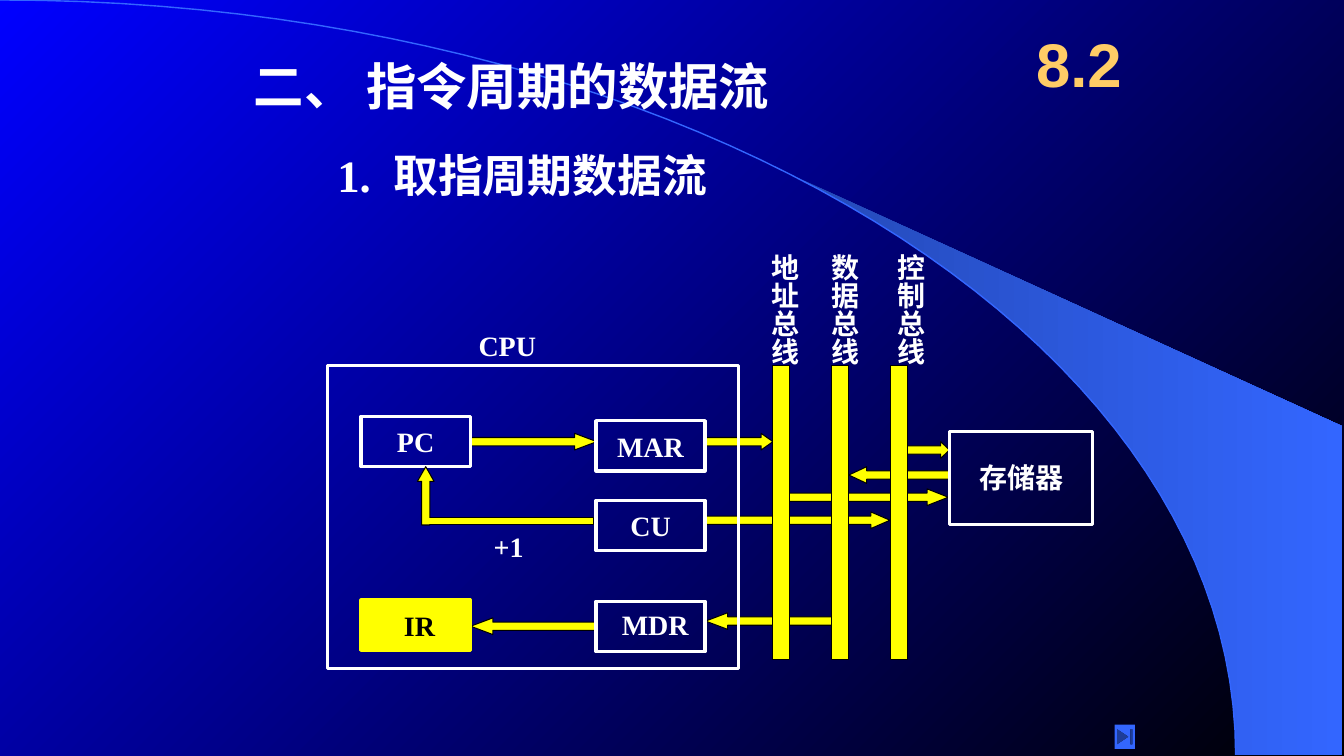
from dataclasses import dataclass

from pptx import Presentation
from pptx import util as u
from pptx.dml.color import RGBColor
from pptx.enum import shapes, text


@dataclass(frozen=True)
class Theme:
    """Colours, fonts and type sizes of the slide."""
    white: str = "FFFFFF"
    black: str = "000000"
    yellow: str = "FFFF00"
    gold: str = "FFCC66"
    night: str = "0000FF"
    wing_dark: str = "2449B6"
    accent: str = "3366FF"
    serif: str = "Times New Roman"
    sans: str = "Arial"
    section: int = 44
    title: int = 36
    subtitle: int = 32
    label: int = 20
    frame: float = 2.25
    hairline: float = 0.75


@dataclass(frozen=True)
class Box:
    """A rectangle in centimetres."""
    left: float
    top: float
    width: float
    height: float

    def inner(self, left, top, width, height):
        """Return a box placed relative to this one."""
        return Box(self.left + left, self.top + top, width, height)

    def lengths(self):
        """Return the four lengths for python-pptx."""
        return [u.Cm(n) for n in (self.left, self.top, self.width, self.height)]


THEME = Theme()
KIND = shapes.MSO_SHAPE
REGISTER = (2.75, 1.27)
BAR = 0.42


def colour(value):
    """Turn a hex string into a colour."""
    return RGBColor.from_string(value)


def paint_gradient(fill, start, end, angle):
    """Fill with a two-colour linear gradient."""
    fill.gradient()
    fill.gradient_angle = angle
    for stop, value in zip(fill.gradient_stops, (start, end)):
        stop.color.rgb = colour(value)


def style(shape, fill=None, line=None, weight=THEME.hairline):
    """Set the fill and line of a shape and drop its shadow."""
    shape.shadow.inherit = False
    if fill:
        shape.fill.solid()
        shape.fill.fore_color.rgb = colour(fill)
    else:
        shape.fill.background()
    if line:
        shape.line.color.rgb = colour(line)
        shape.line.width = u.Pt(weight)
    else:
        shape.line.fill.background()


def write(shape, words, size=THEME.label, color=THEME.white, font=THEME.serif,
          align=text.PP_ALIGN.LEFT, anchor=text.MSO_ANCHOR.TOP, wrap=False, vertical=False):
    """Write one bold line of text into a shape."""
    frame = shape.text_frame
    frame.word_wrap = wrap
    frame.vertical_anchor = anchor
    if vertical:
        shape.element.txBody.bodyPr.set("vert", "eaVert")
    paragraph = frame.paragraphs[0]
    paragraph.alignment = align
    run = paragraph.add_run()
    run.text = words
    run.font.name = font
    run.font.size = u.Pt(size)
    run.font.bold = True
    run.font.color.rgb = colour(color)


def add_label(slide, box, words, **formatting):
    """Add a text box."""
    write(slide.shapes.add_textbox(*box.lengths()), words, **formatting)


def add_block(slide, box, kind=KIND.RECTANGLE, fill=THEME.yellow, line=THEME.black,
              weight=THEME.hairline, head=None, rotation=0):
    """Add a preset shape, with a head length if it is an arrow."""
    shape = slide.shapes.add_shape(kind, *box.lengths())
    style(shape, fill, line, weight)
    shape.rotation = rotation
    if head:
        shape.adjustments[0] = 0.5
        shape.adjustments[1] = head
    return shape


def add_frame(slide, box, words=None):
    """Add a white outlined box, with centred text if given."""
    shape = add_block(slide, box, fill=None, line=THEME.white, weight=THEME.frame)
    if words:
        write(shape, words, align=text.PP_ALIGN.CENTER, anchor=text.MSO_ANCHOR.MIDDLE)


def add_outline(slide, points, close):
    """Add a freeform through points in centimetres."""
    start, *rest = [(u.Cm(x), u.Cm(y)) for x, y in points]
    builder = slide.shapes.build_freeform(*start)
    builder.add_line_segments(rest, close=close)
    return builder.convert_to_shape()


def draw_backdrop(slide, box):
    """Draw the gradient, the blue wing and the long arc."""
    paint_gradient(slide.background.fill, THEME.night, THEME.black, 315)
    width, height, steps = 31.14, 19.02, 50
    arc = []
    for step in range(steps + 1):
        t = step / steps
        rise, turn, last = 3 * t * (1 - t) ** 2, 3 * t ** 2 * (1 - t), t ** 3
        arc.append((box.left + 17.2 * rise + width * (turn + last),
                    box.top + 8.51 * turn + height * last))
    right = box.left + box.width - 0.05
    corners = [(right, box.top + height), (right, box.top + 10.74)]
    wing = add_outline(slide, arc[22:] + corners, True)
    style(wing)
    paint_gradient(wing.fill, THEME.wing_dark, THEME.accent, 0)
    style(add_outline(slide, arc, False), line=THEME.accent, weight=1)


def draw_headings(slide, box):
    """Write the title, the subtitle and the section number."""
    add_label(slide, box.inner(6.15, 1.27, 15.88, 1.78), "二、 指令周期的数据流",
              size=THEME.title, wrap=True)
    add_label(slide, box.inner(8.25, 3.61, 15.88, 1.6), "1.  取指周期数据流",
              size=THEME.subtitle, wrap=True)
    add_label(slide, box.inner(25.6, 0.43, 3.18, 2.33), "8.2", size=THEME.section,
              color=THEME.gold, font=THEME.sans, align=text.PP_ALIGN.CENTER,
              anchor=text.MSO_ANCHOR.MIDDLE, wrap=True)


def draw_flows(slide, box):
    """Draw the horizontal arrows that the blocks then cover."""
    for left, top, width, head, rotation in (
            (3.61, 6.35, 3.18, 1.33, 180), (3.61, 1.7, 3.18, 1.33, 0),
            (9.53, 1.7, 1.7, 0.71, 0), (9.53, 6.22, 3.18, 1.33, 180),
            (9.53, 3.68, 4.65, 1.15, 0), (11.64, 3.1, 4.01, 1.27, 0),
            (13.14, 2.54, 2.54, 1.07, 180), (14.41, 1.91, 1.27, 0.53, 0)):
        add_block(slide, box.inner(left, top, width, BAR), KIND.RIGHT_ARROW,
                  head=head, rotation=rotation)


def draw_cpu(slide, box):
    """Draw the CPU frame, its registers and the counter loop."""
    add_frame(slide, box)
    add_label(slide, box.inner(3.56, -1.07, 1.96, 1.09), "CPU")
    for words, left, top in (("PC", 0.85, 1.27), ("MAR", 6.77, 1.38),
                             ("CU", 6.77, 3.39), (None, 6.77, 5.93)):
        add_frame(slide, box.inner(left, top, *REGISTER), words)
    add_label(slide, box.inner(7.17, 5.97, 2.21, 1.09), "MDR")
    add_block(slide, box.inner(0.85, 5.9, *REGISTER), line=THEME.yellow, weight=THEME.frame)
    add_label(slide, box.inner(1.68, 5.99, 1.32, 1.12), "IR", color=THEME.black)
    add_block(slide, box.inner(2.47, 3.81, 4.24, 0.2))
    add_block(slide, box.inner(2.27, 2.54, BAR, 1.47), KIND.UP_ARROW, head=0.88)
    add_block(slide, box.inner(2.52, 3.86, 0.15, 0.1), line=THEME.yellow, rotation=90)
    add_label(slide, box.inner(3.94, 3.99, 4.45, 1.09), "+1", wrap=True)


def draw_buses(slide, box):
    """Draw three evenly spaced buses under their vertical names."""
    names = (("地址总线", -0.53), ("数据总线", -0.51), ("控制总线", -0.32))
    for index, (name, shift) in enumerate(names):
        left = 1.48 * index
        add_block(slide, box.inner(left, 0, BAR, box.height))
        add_label(slide, box.inner(left + shift, -3.07, 1.37, 3.12), name, vertical=True)


def main():
    """Build the slide and save it."""
    presentation = Presentation()
    presentation.slide_width, presentation.slide_height = u.Cm(33.87), u.Cm(19.05)
    slide = presentation.slides.add_slide(presentation.slide_layouts[6])
    page = Box(0, 0, 33.87, 19.05)
    diagram = page.inner(8.25, 9.22, 19.29, 7.62)
    draw_backdrop(slide, page)
    draw_headings(slide, page)
    draw_flows(slide, diagram)
    draw_cpu(slide, diagram.inner(0, 0, 10.37, 7.62))
    draw_buses(slide, diagram.inner(11.23, 0, 3.38, 7.41))
    add_frame(slide, diagram.inner(15.68, 1.65, 3.61, 2.34), "存储器")
    add_block(slide, page.inner(28.09, 18.26, 0.51, 0.61), KIND.ACTION_BUTTON_END,
              fill=THEME.accent, line=None)
    presentation.save("out.pptx")


if __name__ == "__main__":
    main()
